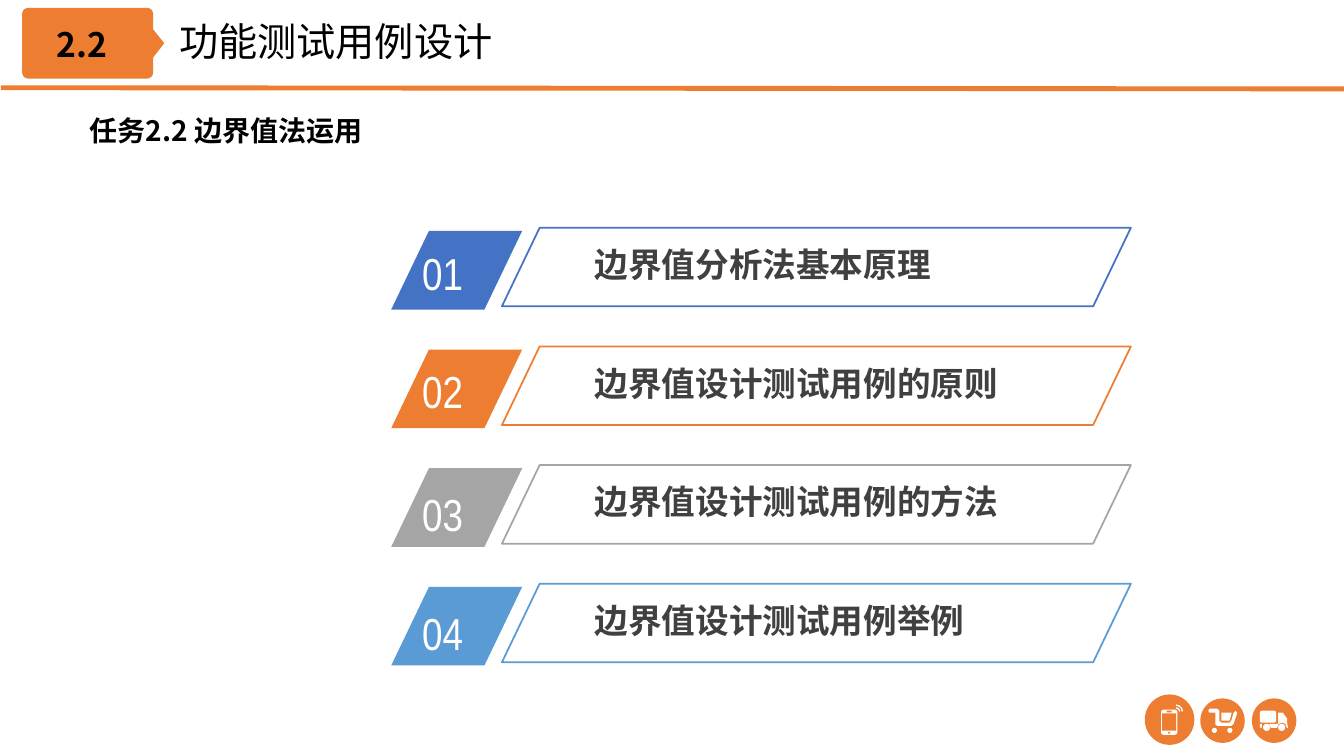
import math
from lxml import etree
from pptx import Presentation
from pptx.dml.color import RGBColor
from pptx.enum.shapes import MSO_CONNECTOR, MSO_SHAPE
from pptx.oxml.ns import qn
from pptx.util import Cm, Pt

RECT, ROUND = MSO_SHAPE.RECTANGLE, MSO_SHAPE.ROUNDED_RECTANGLE
OVAL, ARC = MSO_SHAPE.OVAL, MSO_SHAPE.ARC
PARALLELOGRAM = MSO_SHAPE.PARALLELOGRAM
CJK, NARROW = "Noto Sans CJK SC", "Arial Narrow"
COLORS = {
    "blue": "4472C4", "orange": "ED7D31", "gray": "A5A5A5", "sky": "5B9BD5",
    "white": "FFFFFF", "black": "000000", "dark": "404040",
}

prs = Presentation()
prs.slide_width, prs.slide_height = Cm(33.87), Cm(19.05)
shapes = prs.slides.add_slide(prs.slide_layouts[6]).shapes


def paint(sp, fill=None, line=None, width=1.25):
    """Give a shape its fill and line, or none, and no shadow."""
    sp.shadow.inherit = False
    if fill:
        sp.fill.solid()
        sp.fill.fore_color.rgb = RGBColor.from_string(COLORS[fill])
    else:
        sp.fill.background()
    if line:
        sp.line.color.rgb = RGBColor.from_string(COLORS[line])
        sp.line.width = Pt(width)
    else:
        sp.line.fill.background()


def add_text(text, x, y, w, h, size, color="black", font=CJK, bold=False,
             inset=(0.25, 0.13), indent=0, spacing=None):
    tf = shapes.add_textbox(Cm(x), Cm(y), Cm(w), Cm(h)).text_frame
    tf.word_wrap = True
    tf.margin_left = tf.margin_right = Cm(inset[0])
    tf.margin_top = tf.margin_bottom = Cm(inset[1])
    p = tf.paragraphs[0]
    if spacing:
        p.line_spacing = spacing
    if indent:
        p._p.get_or_add_pPr().set("indent", str(Cm(indent)))
    r = p.add_run()
    r.text = text
    r.font.name, r.font.size, r.font.bold = font, Pt(size), bold
    r.font.color.rgb = RGBColor.from_string(COLORS[color])
    etree.SubElement(r._r.get_or_add_rPr(), qn("a:ea")).set("typeface", font)


# Header rule
rule = shapes.add_connector(MSO_CONNECTOR.STRAIGHT, Cm(0.02), Cm(2.21), Cm(33.93), Cm(2.24))
rule.line.color.rgb = RGBColor.from_string(COLORS["orange"])
rule.line.width = Pt(3.5)
etree.SubElement(rule._element.spPr, qn("a:effectLst"))

# Badge outline: four rounded corners, clockwise from top left, and a pointer on the right
radius = 0.15
corners = [(0.71, 0.35, 180), (3.71, 0.35, 270), (3.71, 1.83, 0), (0.71, 1.83, 90)]
badge = []
for cx, cy, start in corners:
    for step in range(5):
        angle = math.radians(start + step * 22.5)
        badge.append((cx + radius * math.cos(angle), cy + radius * math.sin(angle)))
    if start == 270:
        badge += [(3.86, 0.74), (4.14, 1.09), (3.86, 1.45)]

# Icon discs and their parts: preset, left, top, width, height, colour
ICON_PARTS = [
    (OVAL, 28.85, 17.5, 1.25, 1.27, "orange"),
    (OVAL, 30.25, 17.6, 1.12, 1.12, "orange"),
    (OVAL, 31.55, 17.6, 1.12, 1.12, "orange"),
    # phone
    (ROUND, 29.26, 17.88, 0.41, 0.64, "white"),
    (RECT, 29.29, 17.98, 0.35, 0.43, "orange"),
    (ROUND, 29.4, 17.91, 0.13, 0.04, "orange"),
    (OVAL, 29.44, 18.44, 0.05, 0.05, "orange"),
    # cart wheels
    (OVAL, 30.54, 18.34, 0.13, 0.13, "white"),
    (OVAL, 30.93, 18.34, 0.13, 0.13, "white"),
    # truck box, bumper and wheels
    (ROUND, 31.75, 17.91, 0.41, 0.3, "white"),
    (RECT, 31.75, 18.24, 0.05, 0.1, "white"),
    (OVAL, 31.83, 18.24, 0.18, 0.18, "white"),
    (OVAL, 32.21, 18.24, 0.18, 0.18, "white"),
]
for kind, x, y, w, h, color in ICON_PARTS:
    paint(shapes.add_shape(kind, Cm(x), Cm(y), Cm(w), Cm(h)), color)

for r in (0.09, 0.16):  # phone signal waves
    wave = shapes.add_shape(ARC, Cm(29.64 - r), Cm(17.93 - r), Cm(2 * r), Cm(2 * r))
    paint(wave, line="white", width=1)

cart_frame = [
    (30.48, 17.86), (30.68, 17.86), (30.73, 17.91), (30.73, 18.16), (30.78, 18.21),
    (30.99, 18.21), (31.03, 18.16), (31.09, 17.96), (31.14, 17.91), (31.18, 17.97),
    (31.09, 18.24), (31.04, 18.29), (30.68, 18.29), (30.63, 18.26), (30.63, 17.96),
    (30.48, 17.96), (30.45, 17.91),
]
cart_basket = [(30.78, 17.96), (31.04, 17.96), (30.99, 18.16), (30.78, 18.16)]
truck_cab = [
    (32.21, 17.96), (32.33, 17.96), (32.44, 18.11), (32.44, 18.24), (32.46, 18.34),
    (32.43, 18.34), (32.39, 18.24), (32.31, 18.21), (32.23, 18.24), (32.18, 18.34),
    (32.03, 18.34), (31.98, 18.24), (32.21, 18.24),
]
for points, color in [(badge, "orange"), (cart_frame, "white"),
                      (cart_basket, "white"), (truck_cab, "white")]:
    outline = [(Cm(x), Cm(y)) for x, y in points]
    fb = shapes.build_freeform(*outline[0])
    fb.add_line_segments(outline[1:], close=True)
    paint(fb.convert_to_shape(), color)

# Headings
add_text("2.2", 1.17, 0.48, 2.41, 1.27, 24, bold=True)
add_text("功能测试用例设计", 4.27, 0.3, 12.5, 1.45, 28)
add_text("任务2.2 边界值法运用", 0.74, 2.31, 32.26, 1.52, 20, bold=True,
         indent=1.27, spacing=1.5)

# Agenda rows: title, colour, drop of the number below the row's top
ROWS = [
    ("边界值分析法基本原理", "blue", 0.23),
    ("边界值设计测试用例的原则", "orange", 0.23),
    ("边界值设计测试用例的方法", "gray", 0.33),
    ("边界值设计测试用例举例", "sky", 0.35),
]
for i, (title, color, drop) in enumerate(ROWS):
    top = 5.82 + i * 2.99
    tile = shapes.add_shape(PARALLELOGRAM, Cm(9.86), Cm(top), Cm(3.3), Cm(1.98))
    frame = shapes.add_shape(PARALLELOGRAM, Cm(12.65), Cm(top - 0.08), Cm(15.85), Cm(1.98))
    tile.adjustments[0] = frame.adjustments[0] = 0.48
    paint(tile, fill=color)
    paint(frame, line=color)
    add_text(f"{i + 1:02}", 10.39, top + drop, 3.15, 1.63, 32, "white", NARROW)
    add_text(title, 14.81, top + 0.23, 12.8, 1.22, 24, "dark", bold=True, inset=(0.18, 0.1))

prs.save("out.pptx")
